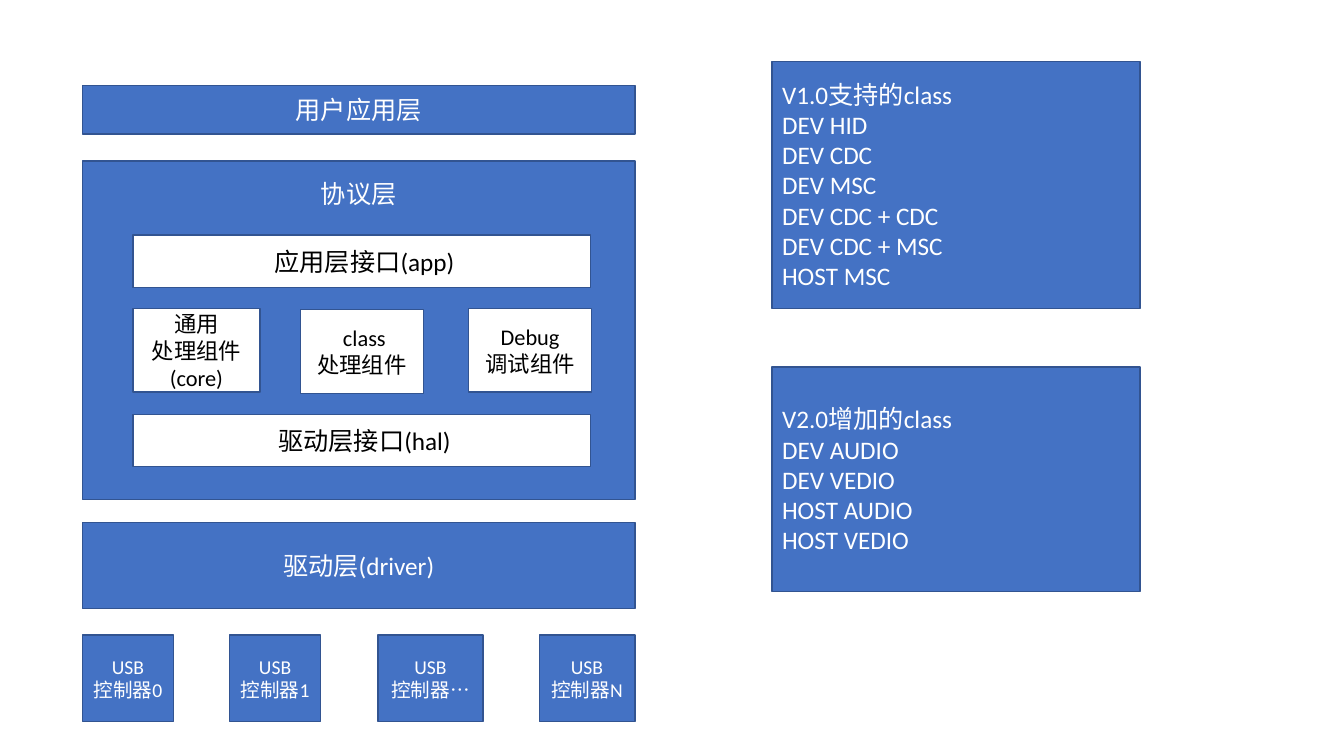
import pptx
import pptx.dml.color
import pptx.enum.shapes
import pptx.enum.text
import pptx.util
from pptx.util import Cm

THEME = {
    "blue": pptx.dml.color.RGBColor(0x44, 0x72, 0xC4),
    "outline": pptx.dml.color.RGBColor(0x32, 0x54, 0x91),
    "white": pptx.dml.color.RGBColor(0xFF, 0xFF, 0xFF),
    "black": pptx.dml.color.RGBColor(0x00, 0x00, 0x00),
    "font": "Calibri",
    "layer": pptx.util.Pt(18),
    "component": pptx.util.Pt(16),
    "controller": pptx.util.Pt(14),
    "line": pptx.util.Pt(1),
}
CENTER = pptx.enum.text.PP_ALIGN.CENTER
LEFT = pptx.enum.text.PP_ALIGN.LEFT


def add_box(left, top, width, height, lines, size="layer", fill="blue", ink="white", align=CENTER):
    box = slide.shapes.add_shape(
        pptx.enum.shapes.MSO_SHAPE.RECTANGLE, Cm(left), Cm(top), Cm(width), Cm(height)
    )
    box.shadow.inherit = False
    box.fill.solid()
    box.fill.fore_color.rgb = THEME[fill]
    box.line.color.rgb = THEME["outline"]
    box.line.width = THEME["line"]
    frame = box.text_frame
    frame.word_wrap = True
    frame.vertical_anchor = pptx.enum.text.MSO_ANCHOR.MIDDLE
    for index, line in enumerate(lines):
        paragraph = frame.add_paragraph() if index else frame.paragraphs[0]
        paragraph.text = line
        paragraph.alignment = align
        paragraph.font.name = THEME["font"]
        paragraph.font.size = THEME[size]
        paragraph.font.color.rgb = THEME[ink]
    return box


deck = pptx.Presentation()
deck.slide_width = Cm(33.87)
deck.slide_height = Cm(19.05)
slide = deck.slides.add_slide(deck.slide_layouts[6])

stack_left, stack_width = 2.08, 13.92
add_box(stack_left, 13.16, stack_width, 2.18, ["驱动层(driver)"])
add_box(stack_left, 2.16, stack_width, 1.22, ["用户应用层"])
protocol = add_box(stack_left, 4.06, stack_width, 8.53, ["协议层"])
protocol.text_frame.vertical_anchor = pptx.enum.text.MSO_ANCHOR.TOP
protocol.text_frame.margin_top = Cm(0.43)

interface_left = 3.35
for top, interface in [(5.92, " 应用层接口(app)"), (10.44, " 驱动层接口(hal)")]:
    add_box(interface_left, top, 11.53, 1.32, [interface], fill="white", ink="black")

components = [
    (interface_left, 7.77, 3.2, ["通用", "处理组件(core)"]),
    (7.57, 7.8, 3.1, [" class", "处理组件"]),
    (11.81, 7.77, 3.1, ["Debug", "调试组件"]),
]
for left, top, width, lines in components:
    add_box(left, top, width, 2.11, lines, "component", "white", "black")

versions = [
    (1.55, 6.22, ["V1.0支持的class", "DEV HID", "DEV CDC", "DEV MSC",
                  "DEV CDC + CDC", "DEV CDC + MSC", "HOST MSC"]),
    (9.25, 5.66, ["V2.0增加的class", "DEV AUDIO", "DEV VEDIO", "HOST AUDIO", "HOST VEDIO"]),
]
for top, height, classes in versions:
    add_box(19.46, top, 9.27, height, classes, align=LEFT)

controllers = [(stack_left, 2.29, "0"), (5.79, 2.29, "1"), (9.53, 2.64, "…"), (13.59, 2.41, "N")]
for left, width, number in controllers:
    add_box(left, 16, width, 2.18, ["USB", f"控制器{number}"], "controller")

deck.save("out.pptx")
